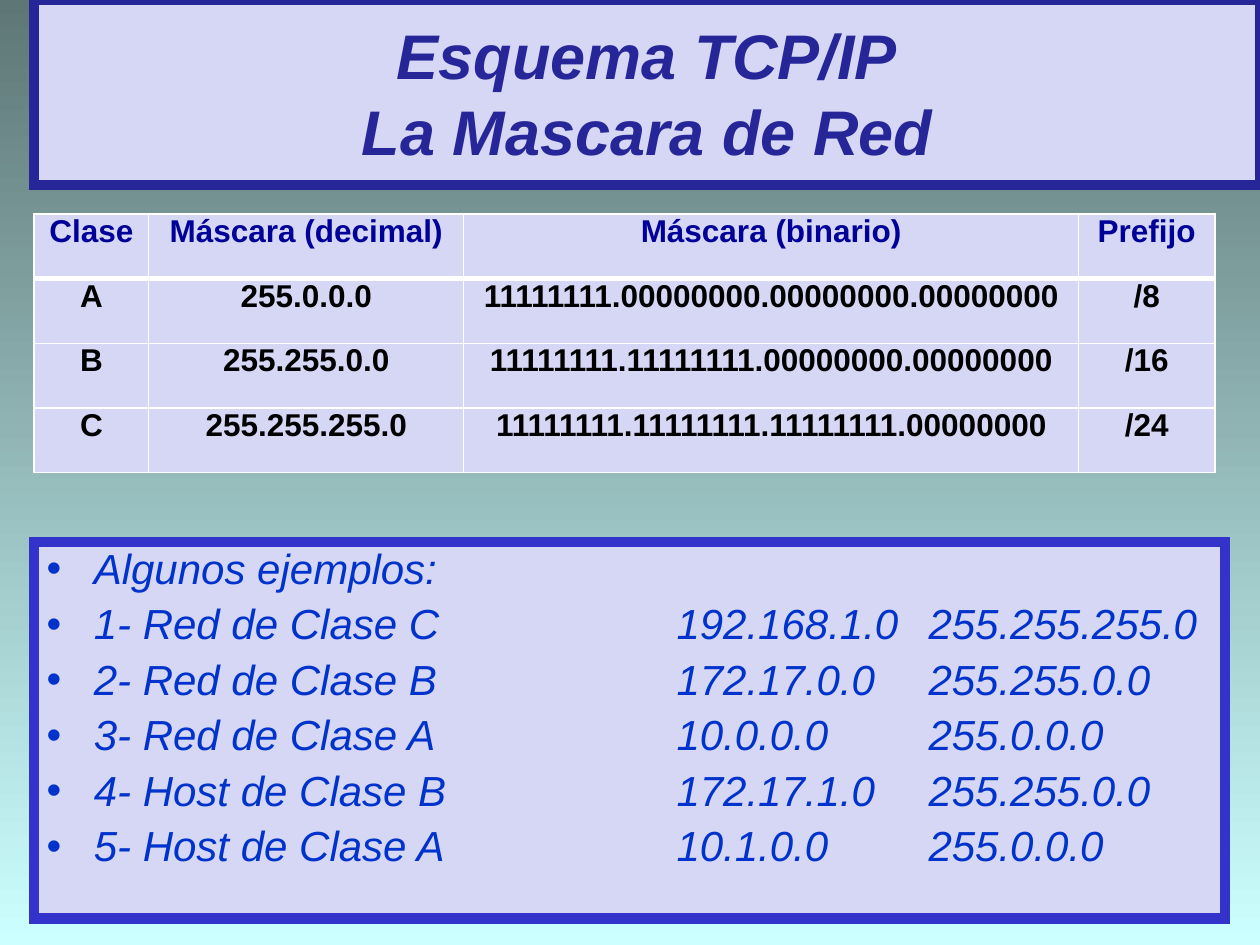
from dataclasses import dataclass

from lxml import etree
from pptx import Presentation
from pptx import util as u
from pptx.dml.color import RGBColor
from pptx.enum import shapes, text
from pptx.oxml.ns import qn

Pt = u.Pt
FONT = "Arial"
COLORS = {
    "sky_top": "5E7676",
    "sky_bottom": "CCFFFF",
    "panel": "D6D6F5",
    "title": "262699",
    "examples_frame": "3333CC",
    "examples": "0033CC",
    "table_head": "000099",
    "table_body": "000000",
    "grid": "FFFFFF",
}


@dataclass(frozen=True)
class Style:
    size: float
    color: str
    bold: bool = False
    italic: bool = False


@dataclass(frozen=True)
class Panel:
    left: float
    top: float
    width: float
    height: float
    frame: str
    anchor: text.MSO_ANCHOR


@dataclass(frozen=True)
class NetworkClass:
    name: str
    decimal: str
    binary: str
    prefix: str


@dataclass(frozen=True)
class Example:
    label: str
    address: str
    mask: str


TITLE_STYLE = Style(36, "title", bold=True, italic=True)
HEAD_STYLE = Style(18, "table_head", bold=True)
BODY_STYLE = Style(18, "table_body", bold=True)
EXAMPLE_STYLE = Style(24, "examples", italic=True)

TITLE_PANEL = Panel(19.5, 0, 700.5, 105.8, "title", text.MSO_ANCHOR.MIDDLE)
EXAMPLES_PANEL = Panel(19.5, 309.6, 680.4, 215.3, "examples_frame", text.MSO_ANCHOR.TOP)

TITLE_LINES = ["Esquema TCP/IP", "La Mascara de Red"]
CLASSES = [
    NetworkClass("Clase", "Máscara (decimal)", "Máscara (binario)", "Prefijo"),
    NetworkClass("A", "255.0.0.0", "11111111.00000000.00000000.00000000", "/8"),
    NetworkClass("B", "255.255.0.0", "11111111.11111111.00000000.00000000", "/16"),
    NetworkClass("C", "255.255.255.0", "11111111.11111111.11111111.00000000", "/24"),
]
EXAMPLES = [
    Example("1- Red de Clase C", "192.168.1.0", "255.255.255.0"),
    Example("2- Red de Clase B", "172.17.0.0", "255.255.0.0"),
    Example("3- Red de Clase A", "10.0.0.0", "255.0.0.0"),
    Example("4- Host de Clase B", "172.17.1.0", "255.255.0.0"),
    Example("5- Host de Clase A", "10.1.0.0", "255.0.0.0"),
]
COLUMN_WIDTHS = [65.5, 180, 351.4, 77.8]
ROW_HEIGHT = 36.9
TAB_STOPS = [360, 504]
INDENT = 27


def rgb(name: str) -> RGBColor:
    return RGBColor.from_string(COLORS[name])


def add_run(paragraph, words: str, style: Style) -> None:
    run = paragraph.add_run()
    run.text = words
    font = run.font
    font.name, font.size = FONT, Pt(style.size)
    font.bold, font.italic = style.bold, style.italic
    font.color.rgb = rgb(style.color)


def add_panel(slide, panel: Panel):
    """Draw a framed rectangle and return its text frame."""
    box = slide.shapes.add_shape(
        shapes.MSO_SHAPE.RECTANGLE,
        Pt(panel.left), Pt(panel.top), Pt(panel.width), Pt(panel.height))
    box.shadow.inherit = False
    box.fill.solid()
    box.fill.fore_color.rgb = rgb("panel")
    box.line.color.rgb = rgb(panel.frame)
    box.line.width = Pt(6)
    outline = box._element.spPr.find(qn("a:ln"))
    etree.SubElement(outline, qn("a:miter"), lim="800000")
    frame = box.text_frame
    frame.word_wrap = True
    frame.vertical_anchor = panel.anchor
    return frame


def set_border(cell, side: str, width: float) -> None:
    line = etree.SubElement(
        cell._tc.get_or_add_tcPr(), qn(f"a:ln{side}"), w=str(Pt(width)))
    fill = etree.SubElement(line, qn("a:solidFill"))
    etree.SubElement(fill, qn("a:srgbClr"), val=COLORS["grid"])


def fill_cell(cell, words: str, row: int) -> None:
    for side in "LRTB":
        under_head = (row, side) in ((0, "B"), (1, "T"))
        set_border(cell, side, 3 if under_head else 1)
    cell.fill.solid()
    cell.fill.fore_color.rgb = rgb("panel")
    cell.margin_left = cell.margin_right = Pt(5)
    cell.margin_top = cell.margin_bottom = Pt(0)
    paragraph = cell.text_frame.paragraphs[0]
    paragraph.alignment = text.PP_ALIGN.CENTER
    add_run(paragraph, words, HEAD_STYLE if row == 0 else BODY_STYLE)


def add_class_table(slide) -> None:
    table = slide.shapes.add_table(
        len(CLASSES), len(COLUMN_WIDTHS), Pt(19.5), Pt(122.4),
        Pt(sum(COLUMN_WIDTHS)), Pt(ROW_HEIGHT * len(CLASSES))).table
    for column, width in zip(table.columns, COLUMN_WIDTHS):
        column.width = Pt(width)
    for row, entry in enumerate(CLASSES):
        table.rows[row].height = Pt(ROW_HEIGHT)
        values = (entry.name, entry.decimal, entry.binary, entry.prefix)
        for column, words in enumerate(values):
            fill_cell(table.cell(row, column), words, row)


def add_bullet(frame, words: str, first: bool) -> None:
    paragraph = frame.paragraphs[0] if first else frame.add_paragraph()
    props = paragraph._p.get_or_add_pPr()
    props.set("marL", str(Pt(INDENT)))
    props.set("indent", str(-Pt(INDENT)))
    etree.SubElement(props, qn("a:buFont"), typeface=FONT)
    etree.SubElement(props, qn("a:buChar"), char="•")
    tabs = etree.SubElement(props, qn("a:tabLst"))
    for stop in TAB_STOPS:
        etree.SubElement(tabs, qn("a:tab"), pos=str(Pt(stop)), algn="l")
    paragraph.alignment = text.PP_ALIGN.LEFT
    paragraph.line_spacing = 0.9
    paragraph.space_before = Pt(0 if first else 5.8)
    add_run(paragraph, words, EXAMPLE_STYLE)


def main() -> None:
    deck = Presentation()
    deck.slide_width, deck.slide_height = Pt(720), Pt(540)
    slide = deck.slides.add_slide(deck.slide_layouts[6])

    # Background, dark at the top
    sky = slide.background.fill
    sky.gradient()
    sky.gradient_angle = 270
    for stop, name in zip(sky.gradient_stops, ("sky_top", "sky_bottom")):
        stop.color.rgb = rgb(name)

    # Title
    heading = add_panel(slide, TITLE_PANEL).paragraphs[0]
    heading.alignment = text.PP_ALIGN.CENTER
    for number, line in enumerate(TITLE_LINES):
        if number:
            heading.add_line_break()
        add_run(heading, line, TITLE_STYLE)

    # Masks by network class
    add_class_table(slide)

    # Examples
    examples = add_panel(slide, EXAMPLES_PANEL)
    add_bullet(examples, "Algunos ejemplos:", first=True)
    for item in EXAMPLES:
        add_bullet(examples, f"{item.label}\t{item.address}\t{item.mask}", first=False)

    deck.save("out.pptx")


if __name__ == "__main__":
    main()
